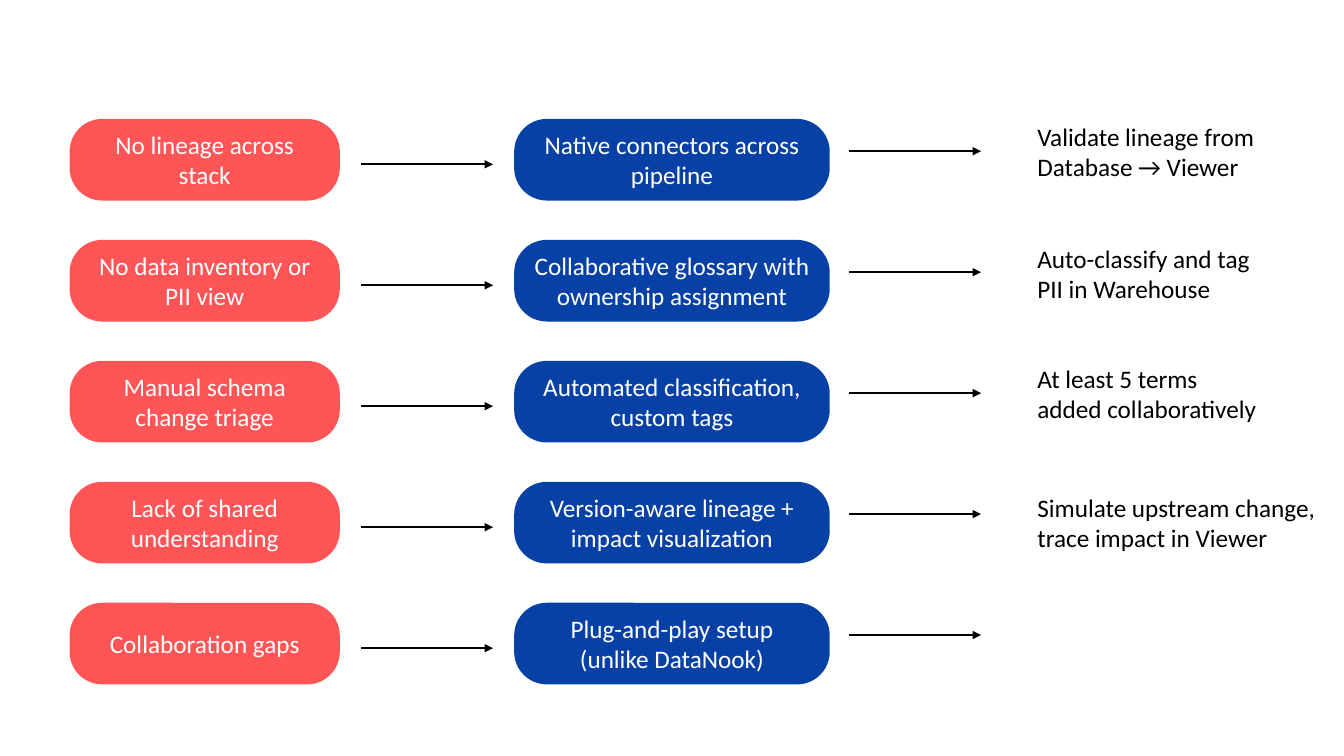
from pptx import Presentation
from pptx.dml.color import RGBColor
from pptx.enum.shapes import MSO_CONNECTOR as LINK, MSO_SHAPE as SHAPE
from pptx.enum.text import MSO_ANCHOR as ANCHOR, PP_ALIGN as ALIGN
from pptx.oxml.ns import qn
from pptx.util import Emu, Pt
from lxml.etree import SubElement

SCALE = 9144  # 100 px to the inch
RED, BLUE, WHITE, BLACK = "FF5556", "0841A6", "FFFFFF", "000000"
TOP, PITCH, HIGH = 118, 120, 81

# Problem, feature, goal, goal width, goal shift from the row top
ROWS = [
    ("No lineage across stack", "Native connectors across pipeline",
     "Validate lineage from Database → Viewer", 239, -3),
    ("No data inventory or PII view",
     "Collaborative glossary with ownership assignment",
     "Auto-classify and tag PII in Warehouse", 247, -2),
    ("Manual schema change triage", "Automated classification, custom tags",
     "At least 5 terms added collaboratively", 247, -3),
    ("Lack of shared understanding",
     "Version-aware lineage + impact visualization",
     "Simulate upstream change, trace impact in Viewer", 301, 5),
    ("Collaboration gaps", "Plug-and-play setup (unlike DataNook)",
     None, 0, 0),
]


def px(*sizes):
    return [Emu(size * SCALE) for size in sizes]


def color(code):
    return RGBColor.from_string(code)


def write(shape, text, ink, align):
    frame = shape.text_frame
    frame.word_wrap = True
    para = frame.paragraphs[0]
    para.alignment = align
    run = para.add_run()
    run.text = text
    run.font.name = "Calibri"
    run.font.size = Pt(18)
    run.font.color.rgb = color(ink)


def pill(slide, box, text, fill):
    shape = slide.shapes.add_shape(SHAPE.ROUNDED_RECTANGLE, *px(*box))
    shape.adjustments[0] = 0.4
    shape.shadow.inherit = False
    shape.fill.solid()
    shape.fill.fore_color.rgb = color(fill)
    shape.line.fill.background()
    shape.text_frame.vertical_anchor = ANCHOR.MIDDLE
    write(shape, text, WHITE, ALIGN.CENTER)


def arrow(slide, left, y):
    link = slide.shapes.add_connector(
        LINK.STRAIGHT, *px(left, y, left + 131, y))
    link.line.color.rgb = color(BLACK)
    link.line.width = Pt(1.5)
    SubElement(link.line._get_or_add_ln(), qn("a:tailEnd"), type="triangle")
    SubElement(link._element.spPr, qn("a:effectLst"))


def goal(slide, box, text):
    shape = slide.shapes.add_textbox(*px(*box))
    write(shape, text, BLACK, ALIGN.LEFT)


def row(slide, top, problem, feature, aim, wide, shift):
    # Problem leads to feature
    pill(slide, (69, top, 268, HIGH), problem, RED)
    arrow(slide, 358, top + 45)
    pill(slide, (510, top, 313, HIGH), feature, BLUE)
    # Feature leads to goal
    arrow(slide, 842, top + 32)
    if aim:
        goal(slide, (1019, top + shift, wide, 71), aim)


def main():
    deck = Presentation()
    deck.slide_width, deck.slide_height = px(1333, 750)
    slide = deck.slides.add_slide(deck.slide_layouts[6])
    for i, parts in enumerate(ROWS):
        row(slide, TOP + i * PITCH, *parts)
    deck.save("out.pptx")


if __name__ == "__main__":
    main()
